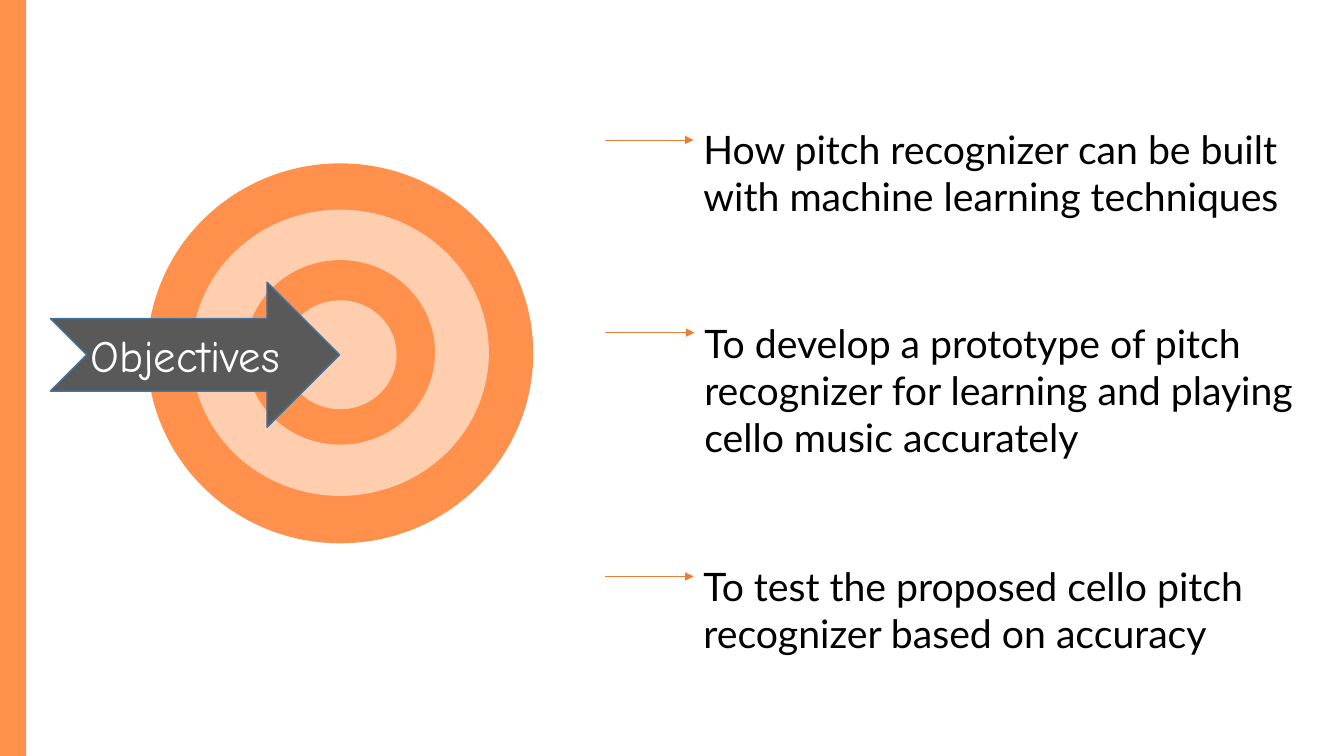
from lxml import etree
from pptx import Presentation
from pptx.dml.color import RGBColor
from pptx.enum.shapes import MSO_CONNECTOR, MSO_SHAPE
from pptx.enum.text import MSO_AUTO_SIZE
from pptx.oxml.ns import qn
from pptx.util import Pt

RECTANGLE = MSO_SHAPE.RECTANGLE
RING = MSO_SHAPE.FLOWCHART_CONNECTOR
NOTCHED_ARROW = MSO_SHAPE.NOTCHED_RIGHT_ARROW
STRAIGHT = MSO_CONNECTOR.STRAIGHT
GROW = MSO_AUTO_SIZE.SHAPE_TO_FIT_TEXT

COLORS = {
    "orange": "FF914D",
    "peach": "FFCEAF",
    "gray": "595959",
    "blue": "43739E",
    "pointer": "ED7D31",
    "white": "FFFFFF",
    "black": "000000",
}

TARGET_X = 243
# width, height, center y, color; outermost first
RINGS = [
    (275.8, 271.4, 252.4, "orange"),
    (212.4, 204.5, 252, "peach"),
    (135.4, 131.8, 251.7, "orange"),
    (80.6, 77.8, 253.4, "peach"),
]
# text, left, top, height, pointer y
OBJECTIVES = [
    ("How pitch recognizer can be built with machine learning techniques",
     495.4, 85.7, 74.9, 100),
    ("To develop a prototype of pitch recognizer for learning and playing "
     "cello music accurately", 496, 224.6, 108.7, 237.6),
    ("To test the proposed cello pitch recognizer based on accuracy",
     495.4, 398.2, 74.9, 411.8),
]
POINTER_START = 432
OBJECTIVE_WIDTH = 444.2


class SlideBuilder:
    def __init__(self, slide, colors):
        self.slide = slide
        self.colors = colors

    def color(self, name):
        return RGBColor.from_string(self.colors[name])

    def shape(self, preset, left, top, width, height, fill, outline=None):
        shape = self.slide.shapes.add_shape(
            preset, Pt(left), Pt(top), Pt(width), Pt(height))
        shape.shadow.inherit = False
        shape.fill.solid()
        shape.fill.fore_color.rgb = self.color(fill)
        if outline:
            shape.line.color.rgb = self.color(outline)
            shape.line.width = Pt(1)
        else:
            shape.line.fill.background()

    def text(self, content, left, top, width, height, font, size, color):
        box = self.slide.shapes.add_textbox(
            Pt(left), Pt(top), Pt(width), Pt(height))
        frame = box.text_frame
        frame.word_wrap = True
        frame.auto_size = GROW
        paragraph = frame.paragraphs[0]
        paragraph.text = content
        paragraph.font.name = font
        paragraph.font.size = Pt(size)
        paragraph.font.color.rgb = self.color(color)

    def pointer(self, start, end, y, color):
        """Draw a thin horizontal line with an arrowhead at its end."""
        connector = self.slide.shapes.add_connector(
            STRAIGHT, Pt(start), Pt(y), Pt(end), Pt(y))
        connector.line.color.rgb = self.color(color)
        connector.line.width = Pt(0.5)
        etree.SubElement(connector.line._get_or_add_ln(),
                         qn("a:tailEnd"), type="triangle")
        etree.SubElement(connector._element.spPr, qn("a:effectLst"))


def main():
    presentation = Presentation()
    presentation.slide_width = Pt(960)
    presentation.slide_height = Pt(540)
    slide = presentation.slides.add_slide(presentation.slide_layouts[6])
    builder = SlideBuilder(slide, COLORS)

    builder.shape(RECTANGLE, 0, 0, 18.7, 540, "orange")
    for width, height, center_y, color in RINGS:
        builder.shape(RING, TARGET_X - width / 2, center_y - height / 2,
                      width, height, color)
    builder.shape(NOTCHED_ARROW, 36, 201.6, 206.6, 103.7, "gray", "blue")
    builder.text("Objectives", 57.6, 230.4, 165.6, 85,
                 "Comic Neue", 32, "white")

    for content, left, top, height, pointer_y in OBJECTIVES:
        builder.pointer(POINTER_START, left, pointer_y, "pointer")
        builder.text(content, left, top, OBJECTIVE_WIDTH, height,
                     "Lato", 28, "black")

    presentation.save("out.pptx")


if __name__ == "__main__":
    main()
